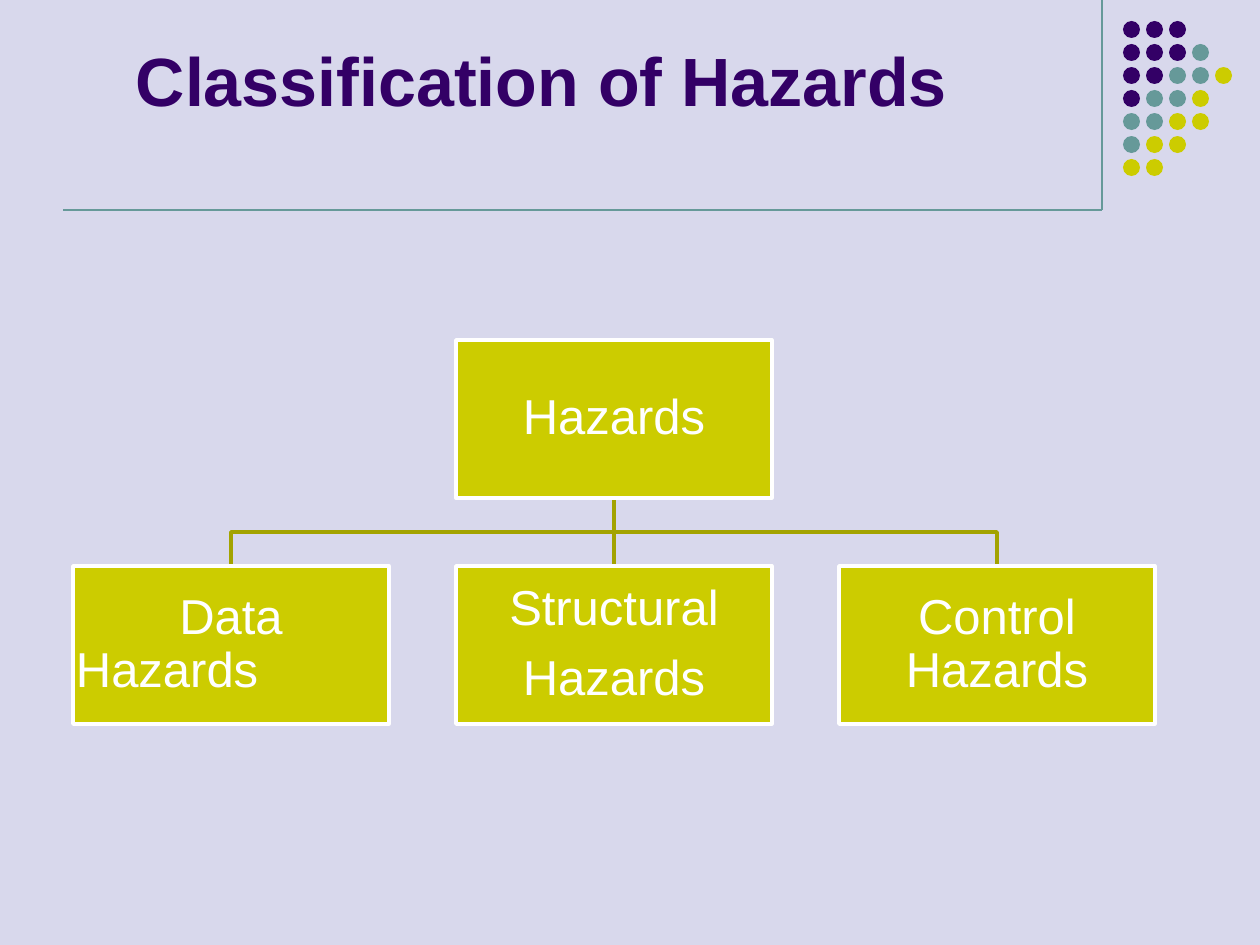
from lxml import etree
from pptx import Presentation
from pptx import util as u
from pptx.dml.color import RGBColor
from pptx.enum import shapes, text
from pptx.oxml.ns import qn

BACKGROUND = RGBColor(0xD8, 0xD8, 0xEC)
PURPLE = RGBColor(0x33, 0x00, 0x66)
TEAL = RGBColor(0x66, 0x99, 0x99)
YELLOW = RGBColor(0xCC, 0xCC, 0x00)
OLIVE = RGBColor(0xA3, 0xA3, 0x00)
WHITE = RGBColor(0xFF, 0xFF, 0xFF)

CENTER, LEFT = text.PP_ALIGN.CENTER, text.PP_ALIGN.LEFT
TOP, BOTTOM = 0, 2  # connection sites of a rectangle


def px(n):
    return u.Emu(round(n * 914400 / 126))


class Deck:
    font = "Arial"

    def __init__(self, width, height):
        self.prs = Presentation()
        self.prs.slide_width, self.prs.slide_height = px(width), px(height)
        self.slide = self.prs.slides.add_slide(self.prs.slide_layouts[6])
        self.shapes = self.slide.shapes
        fill = self.slide.background.fill
        fill.solid()
        fill.fore_color.rgb = BACKGROUND

    def paragraph(self, p, content, size, color, bold=False, align=CENTER):
        p.alignment = align
        r = p.add_run()
        r.text = content
        r.font.name, r.font.size = self.font, u.Pt(size)
        r.font.bold, r.font.color.rgb = bold, color

    def title(self, content, x, y, w, h):
        tf = self.shapes.add_textbox(px(x), px(y), px(w), px(h)).text_frame
        tf.word_wrap = True
        tf.vertical_anchor = text.MSO_ANCHOR.BOTTOM
        self.paragraph(tf.paragraphs[0], content, 39, PURPLE, bold=True)

    def filled(self, kind, x, y, w, h, color):
        sp = self.shapes.add_shape(kind, px(x), px(y), px(w), px(h))
        sp.shadow.inherit = False
        sp.fill.solid()
        sp.fill.fore_color.rgb = color
        sp.line.fill.background()
        return sp

    def dot(self, x, y, size, color):
        self.filled(shapes.MSO_SHAPE.OVAL, x, y, size, size, color)

    def box(self, x, y, w, h, lines, gap=9.8):
        """lines holds (content, alignment) pairs, one per paragraph."""
        sp = self.filled(shapes.MSO_SHAPE.RECTANGLE, x, y, w, h, YELLOW)
        sp.line.color.rgb, sp.line.width = WHITE, u.Pt(2)
        tf = sp.text_frame
        tf.word_wrap = True
        tf.vertical_anchor = text.MSO_ANCHOR.MIDDLE
        tf.margin_left = tf.margin_right = tf.margin_top = tf.margin_bottom = px(3)
        for i, (content, align) in enumerate(lines):
            p = tf.add_paragraph() if i else tf.paragraphs[0]
            p.line_spacing, p.space_after = 0.9, u.Pt(gap)
            self.paragraph(p, content, 28, WHITE, align=align)
        return sp

    def line(self, x1, y1, x2, y2, color, width):
        cn = self.shapes.add_connector(
            shapes.MSO_CONNECTOR.STRAIGHT, px(x1), px(y1), px(x2), px(y2))
        cn.line.color.rgb, cn.line.width = color, u.Pt(width)
        etree.SubElement(cn._element.spPr, qn("a:effectLst"))
        return cn

    def polyline(self, points, color, width):
        start, *rest = [(px(x), px(y)) for x, y in points]
        builder = self.shapes.build_freeform(*start)
        builder.add_line_segments(rest, close=False)
        sp = builder.convert_to_shape()
        sp.shadow.inherit = False
        sp.fill.background()
        sp.line.color.rgb, sp.line.width = color, u.Pt(width)


def main():
    deck = Deck(1260, 945)

    # Frame lines and dot pattern
    deck.line(1102, 0, 1102, 210, TEAL, 0.75)
    deck.line(63, 210, 1102, 210, TEAL, 0.75)
    colors = {"P": PURPLE, "T": TEAL, "Y": YELLOW}
    pattern = ["PPP", "PPPT", "PPTTY", "PTTY", "TTYY", "TYY", "YY"]
    for row, keys in enumerate(pattern):
        for col, key in enumerate(keys):
            deck.dot(1123 + 23 * col, 21 + 23 * row, 17, colors[key])

    # Title
    deck.title("Classification of Hazards ", 31, 31, 1040, 95)

    # Hierarchy branches, behind the boxes
    box_w, box_h, left, step = 316, 158, 73, 383
    root_y, child_y = 340, 566
    lefts = [left + step * i for i in range(3)]
    first, middle, last = [x + box_w // 2 for x in lefts]
    root_bottom = root_y + box_h
    bend = (root_bottom + child_y) // 2
    for x in (last, first):
        deck.polyline([(middle, root_bottom), (middle, bend), (x, bend), (x, child_y)],
                      OLIVE, 2)
    trunk = deck.line(middle, root_bottom, middle, child_y, OLIVE, 2)

    # Hierarchy boxes
    root = deck.box(lefts[1], root_y, box_w, box_h, [("Hazards", CENTER)])
    deck.box(lefts[0], child_y, box_w, box_h, [("Data", CENTER), ("Hazards", LEFT)], gap=0)
    structural = deck.box(lefts[1], child_y, box_w, box_h,
                          [("Structural", CENTER), ("Hazards", CENTER)])
    deck.box(lefts[2], child_y, box_w, box_h, [("Control Hazards", CENTER)])
    trunk.begin_connect(root, BOTTOM)
    trunk.end_connect(structural, TOP)

    deck.prs.save("out.pptx")


if __name__ == "__main__":
    main()
